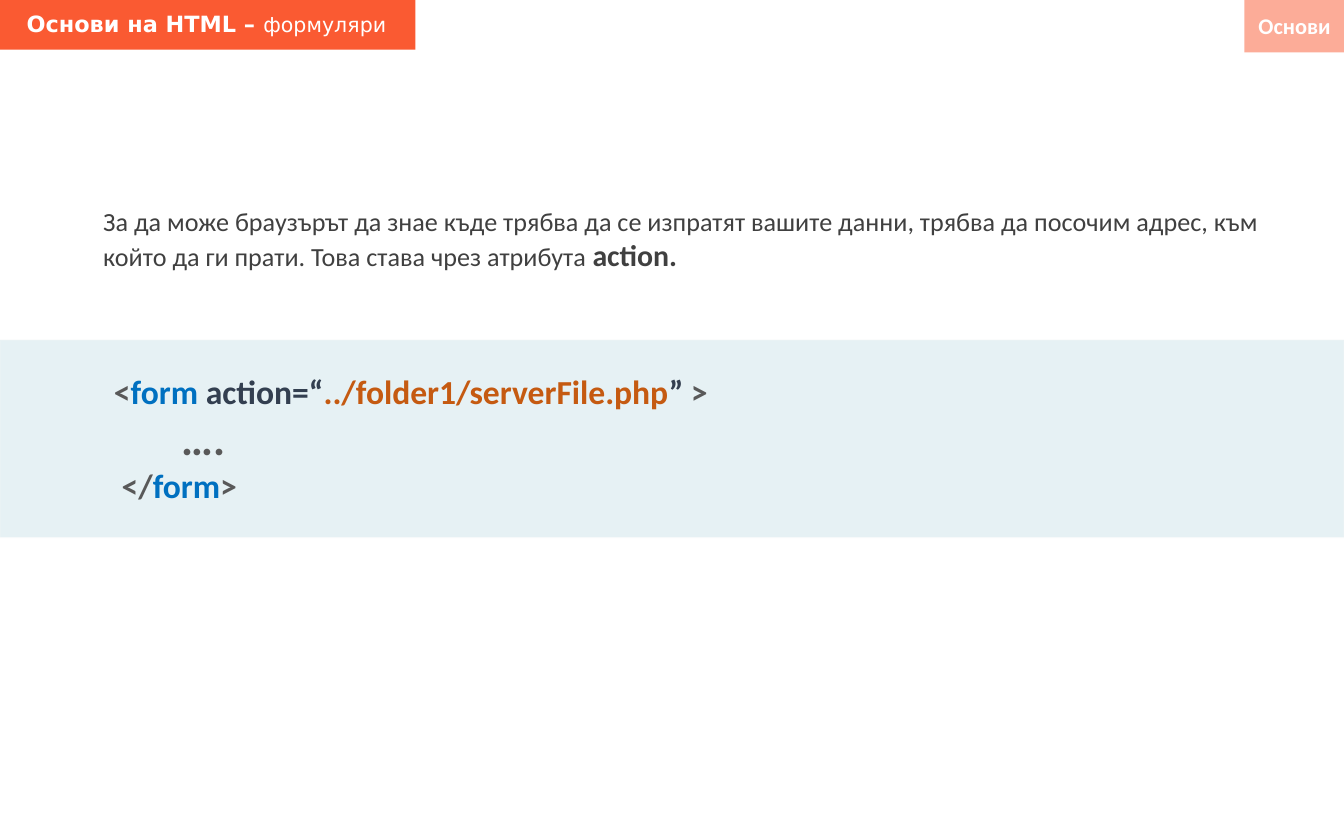
from lxml.etree import SubElement
from pptx import Presentation
from pptx.dml.color import RGBColor
from pptx.enum.shapes import MSO_SHAPE
from pptx.enum.text import MSO_AUTO_SIZE, PP_ALIGN
from pptx.oxml.ns import qn
from pptx.util import Emu, Pt

EMU_PER_PX = 9144
COLORS = {
    "white": "FFFFFF",
    "orange": "FA5A32",
    "teal": "127994",
    "edge": "F8F8F8",
    "body": "404040",
    "bracket": "595959",
    "tag": "0070C0",
    "attribute": "333F50",
    "value": "C55A11",
}


def px(*lengths):
    """Turn px lengths into EMU."""
    return [Emu(length * EMU_PER_PX) for length in lengths]


def paint(fill, color, opacity=100):
    """Give a fill a solid colour with an opacity in percent."""
    fill.solid()
    fill.fore_color.rgb = RGBColor.from_string(COLORS[color])
    if opacity < 100:
        color_element = fill._xPr.find(qn("a:solidFill"))[0]
        SubElement(color_element, qn("a:alpha"), val=str(opacity * 1000))


def add_panel(slide, box, color, opacity=100):
    """Add a borderless filled rectangle."""
    shape = slide.shapes.add_shape(MSO_SHAPE.RECTANGLE, *px(*box))
    shape.shadow.inherit = False
    paint(shape.fill, color, opacity)
    shape.line.fill.background()
    return shape


def add_text(slide, box, paragraphs, font="Calibri", align=PP_ALIGN.LEFT, wrap=True):
    """Add a text box from paragraphs of (text, size, color, bold) runs."""
    shape = slide.shapes.add_textbox(*px(*box))
    frame = shape.text_frame
    frame.word_wrap = wrap
    frame.auto_size = MSO_AUTO_SIZE.SHAPE_TO_FIT_TEXT
    for index, runs in enumerate(paragraphs):
        paragraph = frame.add_paragraph() if index else frame.paragraphs[0]
        paragraph.alignment = align
        for text, size, color, bold in runs:
            run = paragraph.add_run()
            run.text = text
            run.font.name = font
            run.font.size = Pt(size)
            run.font.bold = bold
            run.font.color.rgb = RGBColor.from_string(COLORS[color])


def add_explanation(slide, left, top, width, height):
    """Add the paragraph that introduces the action attribute."""
    add_text(slide, (left, top, width, height), [[
        ("За да може браузърът да знае къде трябва да се изпратят вашите данни, "
         "трябва да посочим адрес, към който да ги прати. "
         "Това става чрез атрибута ", 14, "body", False),
        ("action.", 16, "body", True),
    ]])


def add_title(slide, left, top, width, height):
    """Add the title bar with its text."""
    add_panel(slide, (left, top, width, height), "orange")
    add_text(slide, (left + 10, top + 5, width, 30), [[
        ("Основи на HTML – ", 12, "white", True),
        ("формуляри", 11, "white", False),
    ]], font="DejaVu Sans")


def add_section_tag(slide, left, top, width, height):
    """Add the translucent section tag."""
    add_panel(slide, (left, top, width, height), "orange", 50)
    add_text(slide, (left, top + 4, width, 30), [[("Основи", 12, "white", True)]],
             align=PP_ALIGN.RIGHT, wrap=False)


def add_code(slide, left, top, width, height):
    """Add the code band with the form markup."""
    band = add_panel(slide, (left, top, width, height), "teal", 10)
    band.line.width = Pt(1)
    paint(band.line.fill, "edge", 16)
    lines = [
        [("<", 18, "bracket"), ("form ", 18, "tag"), ("action=“", 18, "attribute"),
         ("../folder1/serverFile.php", 18, "value"), ("” ", 18, "attribute"),
         (">", 18, "bracket")],
        [("\t….", 24, "bracket")],
        [(" ", 18, "tag"), ("</", 18, "bracket"), ("form", 18, "tag"),
         (">", 18, "bracket")],
    ]
    add_text(slide, (left + 75, top + 18, 804, 111),
             [[(*run, True) for run in line] for line in lines])


def main():
    """Build and save the slide."""
    presentation = Presentation()
    presentation.slide_width, presentation.slide_height = px(1000, 625)
    slide = presentation.slides.add_slide(presentation.slide_layouts[6])
    add_explanation(slide, 67, 148, 906, 61)
    add_title(slide, 0, -2, 309, 39)
    add_section_tag(slide, 926, 0, 74, 39)
    add_code(slide, 0, 253, 1000, 147)
    presentation.save("out.pptx")


if __name__ == "__main__":
    main()
